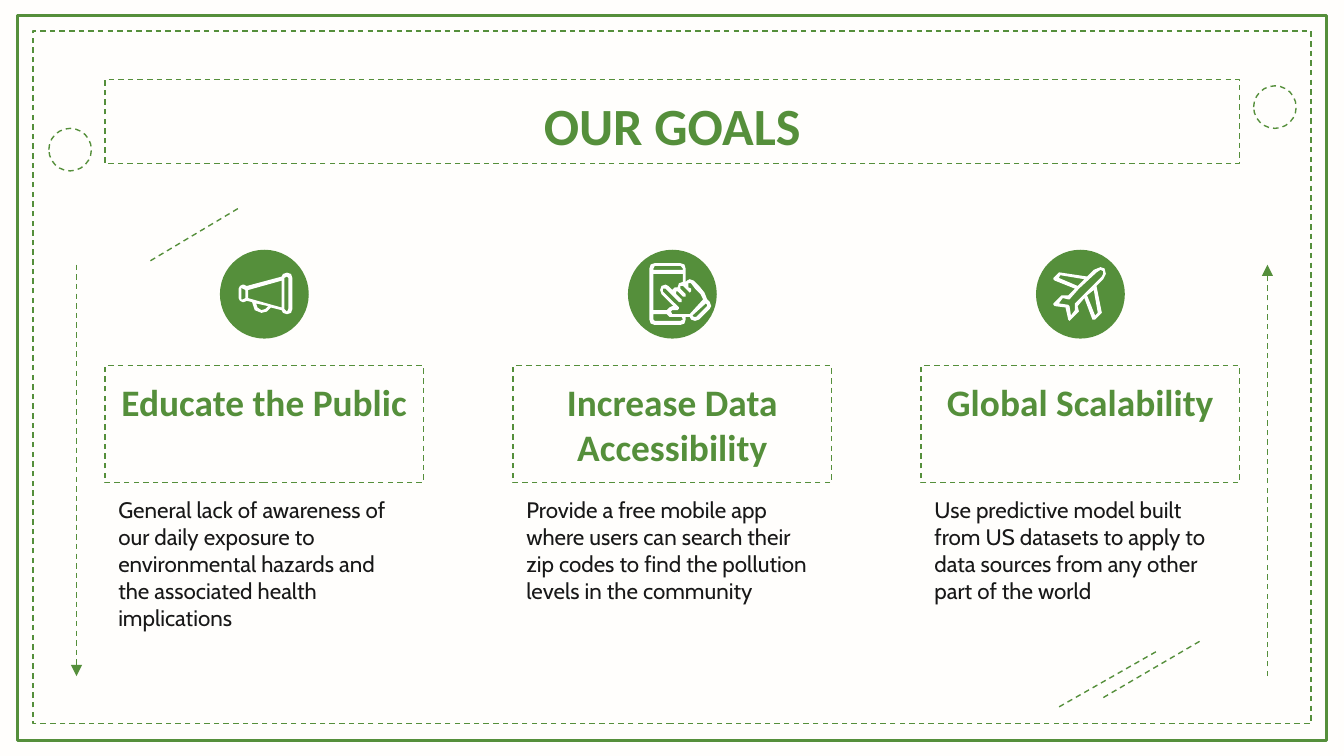
from dataclasses import dataclass
from typing import Optional

from lxml.etree import SubElement
from pptx import Presentation
from pptx.dml.color import RGBColor
from pptx.enum.dml import MSO_LINE
from pptx.enum.shapes import MSO_CONNECTOR, MSO_SHAPE
from pptx.enum.text import MSO_ANCHOR, MSO_AUTO_SIZE, PP_ALIGN
from pptx.oxml.ns import qn
from pptx.util import Pt

GREEN, CREAM, WHITE, INK = "558F3B", "FFFEFC", "FFFFFF", "181818"
LEFT, COLUMN_STEP, COLUMN_WIDTH = 56.3, 218.6, 170.6
HEADING_TOP, HEADING_HEIGHT, BODY_HEIGHT = 196, 62.6, 65.5
BADGE_TOP, BADGE_SIZE = 133.8, 47.6
ICON_UNIT = Pt(0.72)

# Icon outlines: one contour per line, measured from the badge's corner.
MEGAPHONE = """
16,28 17,29 19,30 19,36 17,37 16,37 16,36 16,29
46,23 46,43 21,36 21,30
27,40 36,42 34,44 31,45 28,43
50,20 51,21 51,44 50,46 48,44 48,21
50,17 47,18 46,20 20,27 18,26 17,26 15,27 14,29 14,36 15,38 17,39 18,39 20,38 24,39 26,45 31,47 35,46 38,43 46,45 47,47 50,48 53,47 54,44 54,21 53,18
"""
PHONE = """
39,12 41,14 41,15 19,15 19,14 20,12
41,18 41,24 38,25 37,28 35,28 33,30 30,27 28,26 25,27 24,30 25,33 34,42 33,42 31,43 29,45 19,45 19,18
46,25 47,25 50,29 54,33 56,37 46,48 33,48 32,46 33,45 37,45 38,44 38,43 26,31 26,29 27,29 28,29 34,35 38,39 39,39 40,39 40,37 36,33 36,31 37,31 41,35 42,35 43,35 43,33 39,29 39,27 40,27 41,27 45,31 46,32 47,31 47,29 45,28 45,25
58,40 59,41 59,42 51,50 50,50 49,50 48,49
29,48 31,50 33,50 40,50 41,52 39,53 20,53 19,52 19,48
20,10 17,11 16,14 16,52 17,55 20,56 39,56 42,55 43,52 43,50 46,50 47,52 50,53 53,52 61,44 62,42 61,39 59,37 57,32 53,27 49,23 46,22 44,23 43,24 43,14 42,11 39,10
"""
PLANE = """
18,19 36,22 31,27 17,21
48,15 50,16 50,18 49,20 36,33 29,40 29,41 29,45 26,49 25,42 24,41 17,40 20,36 24,37 25,37 32,29 45,17
43,30 46,47 44,49 38,34
48,13 43,15 38,20 18,17 17,17 13,21 13,22 14,23 29,29 24,34 20,34 19,34 13,40 13,41 14,42 22,43 24,52 25,53 26,52 31,47 32,46 31,42 36,36 42,52 43,52 44,52 48,48 49,47 45,27 50,22 52,18 51,14
"""


@dataclass
class Area:
    left: float
    top: float
    width: float
    height: float

    def lengths(self) -> tuple:
        return Pt(self.left), Pt(self.top), Pt(self.width), Pt(self.height)


@dataclass
class Stroke:
    start: tuple
    end: tuple
    arrow: bool = False


@dataclass
class Goal:
    heading: str
    body: str
    icon: str


STROKES = [
    Stroke((591.1, 373.7), (643, 343.4)),
    Stroke((80.6, 139.7), (128.9, 110.9)),
    Stroke((567.4, 378.7), (619.2, 349.2)),
    Stroke((41, 141.8), (41, 362.2), arrow=True),
    Stroke((679, 362.2), (679, 141.8), arrow=True),
]
GOALS = [
    Goal("Educate the Public",
         "General lack of awareness of our daily exposure to environmental "
         "hazards and the associated health implications", MEGAPHONE),
    Goal("Increase Data Accessibility",
         "Provide a free mobile app where users can search their zip codes "
         "to find the pollution levels in the community", PHONE),
    Goal("Global Scalability",
         "Use predictive model built from US datasets to apply to data "
         "sources from any other part of the world", PLANE),
]


def paint(target, color: str) -> None:
    """Give a fill or a line's fill one solid colour."""
    target.solid()
    target.fore_color.rgb = RGBColor.from_string(color)


def outline(line, width: float = 0.75, dashed: bool = True) -> None:
    paint(line.fill, GREEN)
    line.width = Pt(width)
    if dashed:
        line.dash_style = MSO_LINE.DASH


def add_plain_shape(page, kind, area: Area, fill: Optional[str] = None):
    shape = page.shapes.add_shape(kind, *area.lengths())
    shape.shadow.inherit = False
    shape.line.fill.background()
    if fill:
        paint(shape.fill, fill)
    else:
        shape.fill.background()
    return shape


def write(box, text: str, size: float, font: str, color: str, heading: bool) -> None:
    frame = box.text_frame
    frame.auto_size = MSO_AUTO_SIZE.NONE
    frame.word_wrap = True
    frame.vertical_anchor = MSO_ANCHOR.TOP
    frame.margin_left = frame.margin_right = Pt(7.2)
    frame.margin_top = frame.margin_bottom = Pt(7.2)
    para = frame.paragraphs[0]
    para.alignment = PP_ALIGN.CENTER if heading else PP_ALIGN.LEFT
    span = para.add_run()
    span.text = text
    span.font.size = Pt(size)
    span.font.name = font
    span.font.bold = heading
    paint(span.font.fill, color)


def add_stroke(page, stroke: Stroke) -> None:
    connector = page.shapes.add_connector(
        MSO_CONNECTOR.STRAIGHT, *map(Pt, stroke.start + stroke.end))
    outline(connector.line)
    if stroke.arrow:
        SubElement(connector.line._get_or_add_ln(), qn("a:tailEnd"), type="triangle")
    SubElement(connector._element.spPr, qn("a:effectLst"))


def add_icon(page, contours: str, left: float, top: float) -> None:
    outlines = [[tuple(map(int, point.split(","))) for point in row.split()]
                for row in contours.strip().splitlines()]
    builder = page.shapes.build_freeform(*outlines[0][0], scale=ICON_UNIT)
    for index, points in enumerate(outlines):
        if index:
            builder.move_to(*points[0])
        builder.add_line_segments(points[1:], close=True)
    icon = builder.convert_to_shape(Pt(left), Pt(top))
    icon.shadow.inherit = False
    paint(icon.fill, WHITE)
    icon.line.fill.background()


def add_goal(page, goal: Goal, left: float) -> None:
    heading = add_plain_shape(page, MSO_SHAPE.RECTANGLE,
                              Area(left, HEADING_TOP, COLUMN_WIDTH, HEADING_HEIGHT))
    outline(heading.line)
    write(heading, goal.heading, 20, "Calibri", GREEN, heading=True)
    body_area = Area(left, HEADING_TOP + HEADING_HEIGHT, COLUMN_WIDTH, BODY_HEIGHT)
    body = page.shapes.add_textbox(*body_area.lengths())
    write(body, goal.body, 12, "Cabin", INK, heading=False)
    badge_left = left + (COLUMN_WIDTH - BADGE_SIZE) / 2
    add_plain_shape(page, MSO_SHAPE.OVAL,
                    Area(badge_left, BADGE_TOP, BADGE_SIZE, BADGE_SIZE), GREEN)
    add_icon(page, goal.icon, badge_left, BADGE_TOP)


def main() -> None:
    deck = Presentation()
    deck.slide_width, deck.slide_height = Pt(720), Pt(405)
    page = deck.slides.add_slide(deck.slide_layouts[5])
    paint(page.background.fill, CREAM)

    frame = add_plain_shape(page, MSO_SHAPE.RECTANGLE, Area(9.4, 8.5, 701.3, 388.1))
    outline(frame.line, 1.5, dashed=False)
    inner_frame = add_plain_shape(page, MSO_SHAPE.RECTANGLE, Area(17.7, 16.6, 684.6, 371))
    outline(inner_frame.line)
    for left, top in [(26.2, 68.8), (671.6, 46)]:
        ring = add_plain_shape(page, MSO_SHAPE.OVAL, Area(left, top, 22.8, 22.8), CREAM)
        outline(ring.line)
    for stroke in STROKES:
        add_stroke(page, stroke)

    title = page.shapes.title
    title.left, title.top, title.width, title.height = Area(LEFT, 42.5, 607.6, 45.2).lengths()
    outline(title.line)
    write(title, "OUR GOALS", 28, "Calibri", GREEN, heading=True)
    for column, goal in enumerate(GOALS):
        add_goal(page, goal, LEFT + column * COLUMN_STEP)
    deck.save("out.pptx")


if __name__ == "__main__":
    main()
